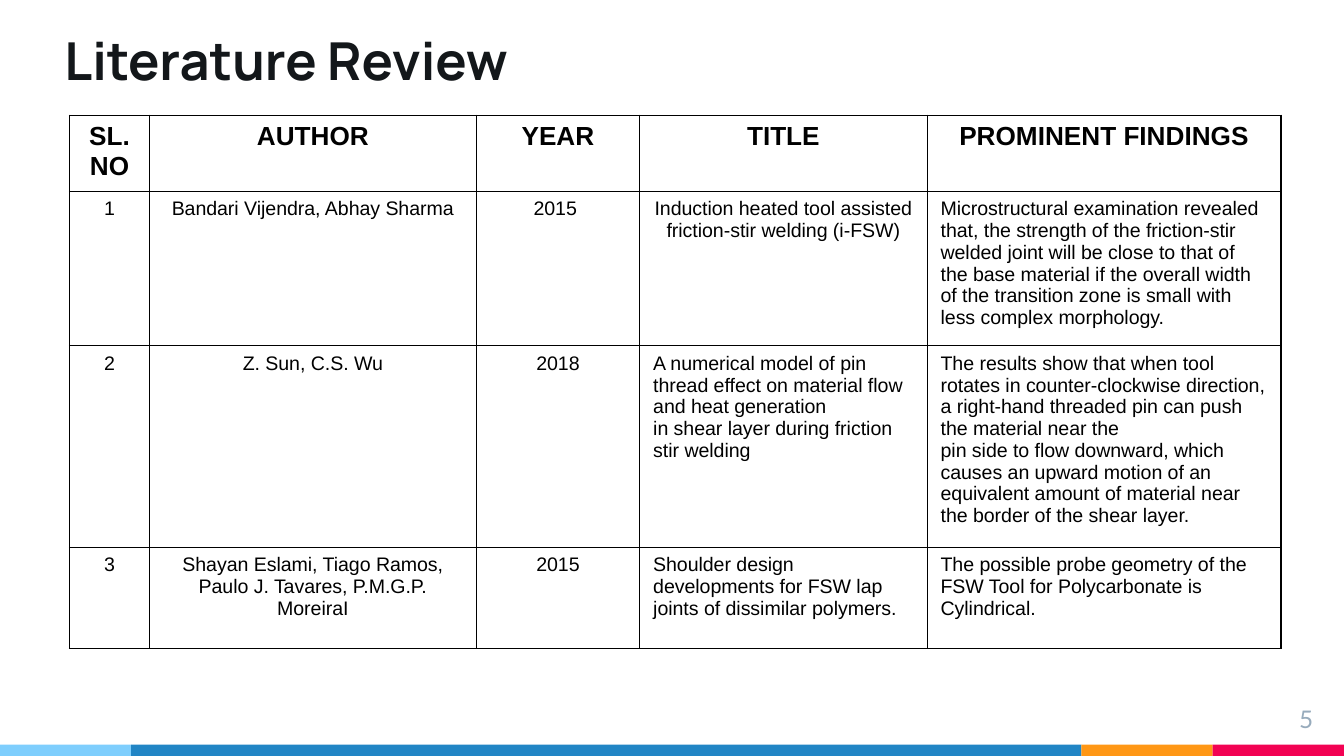
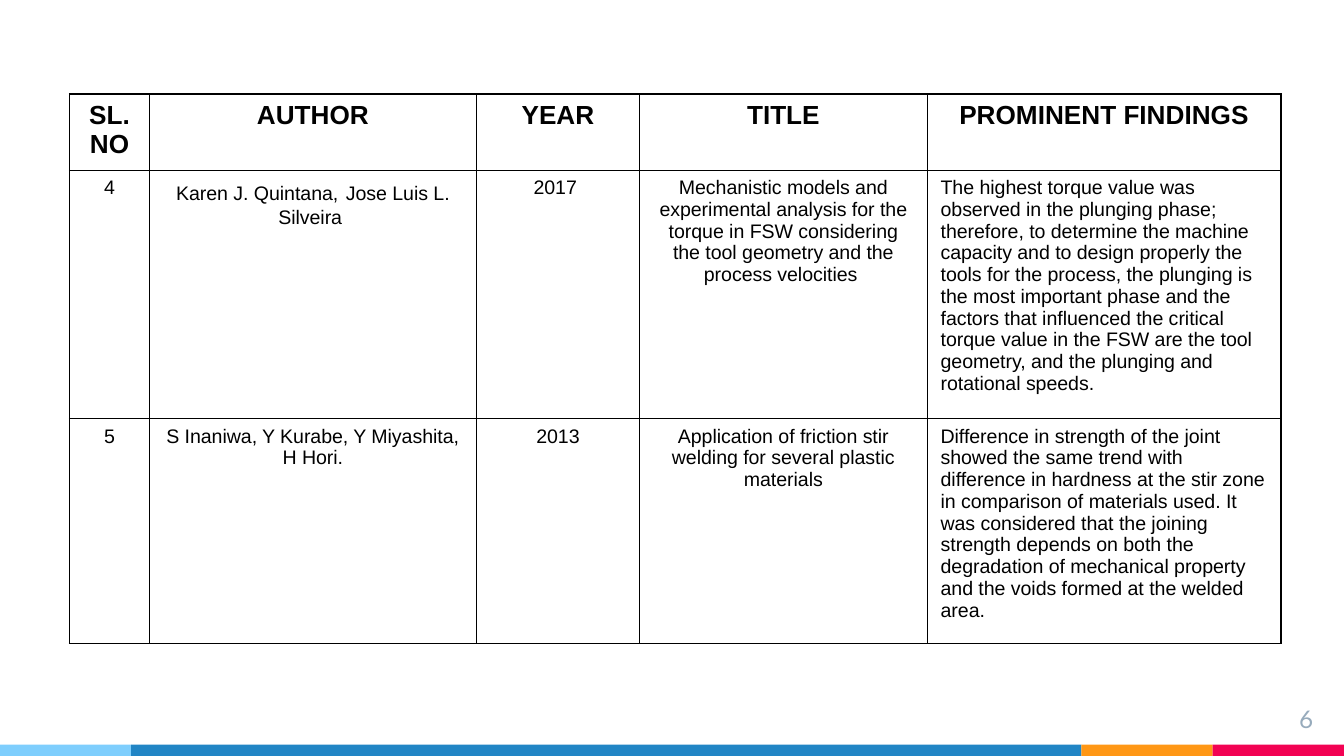
from dataclasses import dataclass

from lxml import etree
from pptx import Presentation
from pptx.dml.color import RGBColor
from pptx.enum.shapes import MSO_SHAPE
from pptx.enum.text import MSO_ANCHOR, PP_ALIGN
from pptx.oxml.ns import qn
from pptx.util import Pt

RECT = MSO_SHAPE.RECTANGLE
TOP, BOTTOM = MSO_ANCHOR.TOP, MSO_ANCHOR.BOTTOM
LEFT, MID, RIGHT = PP_ALIGN.LEFT, PP_ALIGN.CENTER, PP_ALIGN.RIGHT


@dataclass(frozen=True)
class Theme:
    ink: str = "000000"
    title: str = "13171A"
    page: str = "97ABBC"
    bands: tuple = (("7ECEFD", 70.3), ("2185C5", 509.1),
                    ("FF9715", 70.3), ("F20253", 70.3))
    title_size: float = 28
    head_size: float = 14
    body_size: float = 10.5
    page_size: float = 13
    title_font: str = "Manrope"
    body_font: str = "Arial"
    page_font: str = "Lato"


THEME = Theme()
WIDTH, HEIGHT = 720, 405
BAND_TOP = 398.9
TABLE_LEFT = 37.2
COLS = (43, 175, 87.6, 154, 189.6)
HEAD_ROW = 38.6
HEADS = ("SL.NO", "AUTHOR", "YEAR", "TITLE", "PROMINENT FINDINGS")

# Each row: height, alignment of the title column, cells.
# A newline starts a paragraph; a tuple holds (text, size) runs.
FIRST = (
    (77.1, MID, (
        "1", "Bandari Vijendra, Abhay Sharma", "2015 ",
        "Induction heated tool assisted friction-stir welding (i-FSW)",
        "Microstructural examination revealed that, the strength of the "
        "friction-stir welded joint will be close to that of the base "
        "material if the overall width of the transition zone is small "
        "with less complex morphology.")),
    (100.4, LEFT, (
        "2", "Z. Sun, C.S. Wu", "2018",
        "A numerical model of pin thread effect on material flow and heat "
        "generation\nin shear layer during friction stir welding",
        "The results show that when tool rotates in counter-clockwise "
        "direction, a right-hand threaded pin can push the material near "
        "the\npin side to flow downward, which causes an upward motion of "
        "an\nequivalent amount of material near the border of the shear "
        "layer.")),
    (54, LEFT, (
        "3", "Shayan Eslami, Tiago Ramos, Paulo J. Tavares, P.M.G.P. MoreiraI",
        "2015",
        "Shoulder design developments for FSW lap joints of dissimilar "
        "polymers.",
        "The possible probe geometry of the FSW Tool for Polycarbonate is "
        "Cylindrical.")),
)
SECOND = (
    (123.7, MID, (
        "4",
        (("Karen J. Quintana,", None), (" ", THEME.head_size),
         ("Jose Luis L. Silveira ", None)),
        "2017 ",
        "Mechanistic models and experimental analysis for the torque in FSW "
        "considering the tool geometry and the process velocities ",
        "The highest torque value was observed in the plunging phase; "
        "therefore, to determine the machine capacity and to design properly "
        "the tools for the process, the plunging is the most important phase "
        "and the factors that influenced the critical torque value in the "
        "FSW are the tool geometry, and the plunging and rotational speeds.")),
    (112, MID, (
        "5", "S Inaniwa, Y Kurabe, Y Miyashita, H Hori.", "2013",
        "Application of friction stir welding for several plastic materials",
        "Difference in strength of the joint showed the same trend with "
        "difference in hardness at the stir zone in comparison of materials "
        "used. It was considered that the joining strength depends on both "
        "the degradation of mechanical property and the voids formed at the "
        "welded\narea.")),
)


def style(para, font, size, color, bold=False, align=LEFT):
    para.alignment = align
    para.font.name = font
    para.font.size = Pt(size)
    para.font.bold = bold
    para.font.color.rgb = RGBColor.from_string(color)


def add_text(slide, box, text, anchor, *look, **more):
    frame = slide.shapes.add_textbox(*map(Pt, box)).text_frame
    frame.word_wrap = True
    frame.vertical_anchor = anchor
    frame.margin_left = frame.margin_right = Pt(7.2)
    frame.margin_top = frame.margin_bottom = Pt(7.2)
    frame.text = text
    style(frame.paragraphs[0], *look, **more)


def add_bands(slide):
    left = 0
    for color, width in THEME.bands:
        band = slide.shapes.add_shape(
            RECT, Pt(left), Pt(BAND_TOP), Pt(width), Pt(HEIGHT - BAND_TOP))
        band.shadow.inherit = False
        band.fill.solid()
        band.fill.fore_color.rgb = RGBColor.from_string(color)
        band.line.fill.background()
        left += width


def add_page(prs, number):
    slide = prs.slides.add_slide(prs.slide_layouts[6])
    add_bands(slide)
    add_text(slide, (667.4, 370, 43.2, 24.5), str(number), TOP,
             THEME.page_font, THEME.page_size, THEME.page, align=RIGHT)
    return slide


def set_border(cell):
    props = cell._tc.get_or_add_tcPr()
    for index, side in enumerate(("lnL", "lnR", "lnT", "lnB")):
        line = etree.Element(qn(f"a:{side}"), w=str(Pt(0.75)))
        fill = etree.SubElement(line, qn("a:solidFill"))
        etree.SubElement(fill, qn("a:srgbClr"), val=THEME.ink)
        props.insert(index, line)


def fill_cell(cell, text, size, bold, align):
    cell.fill.background()
    set_border(cell)
    frame = cell.text_frame
    if isinstance(text, str):
        frame.text = text
    else:
        for part, part_size in text:
            run = frame.paragraphs[0].add_run()
            run.text = part
            if part_size:
                run.font.size = Pt(part_size)
    for para in frame.paragraphs:
        style(para, THEME.body_font, size, THEME.ink, bold, align)


def add_review(slide, top, rows):
    tall = [HEAD_ROW] + [row[0] for row in rows]
    table = slide.shapes.add_table(
        len(tall), len(COLS), Pt(TABLE_LEFT), Pt(top),
        Pt(sum(COLS)), Pt(sum(tall))).table
    table.first_row = table.horz_banding = False
    for col, width in zip(table.columns, COLS):
        col.width = Pt(width)
    for row, height in zip(table.rows, tall):
        row.height = Pt(height)
    for col, head in enumerate(HEADS):
        fill_cell(table.cell(0, col), head, THEME.head_size, True, MID)
    for index, (_, align, cells) in enumerate(rows, 1):
        sides = (MID, MID, MID, align, LEFT)
        for col, (text, side) in enumerate(zip(cells, sides)):
            fill_cell(table.cell(index, col), text, THEME.body_size,
                      False, side)


def main():
    prs = Presentation()
    prs.slide_width, prs.slide_height = Pt(WIDTH), Pt(HEIGHT)

    # Papers 1 to 3, with the title
    slide = add_page(prs, 5)
    add_text(slide, (27.4, 40.3, 308.9, 15.8), "Literature Review", BOTTOM,
             THEME.title_font, THEME.title_size, THEME.title, bold=True)
    add_review(slide, 61.7, FIRST)

    # Papers 4 and 5
    add_review(add_page(prs, 6), 50.4, SECOND)

    prs.save("out.pptx")


if __name__ == "__main__":
    main()
